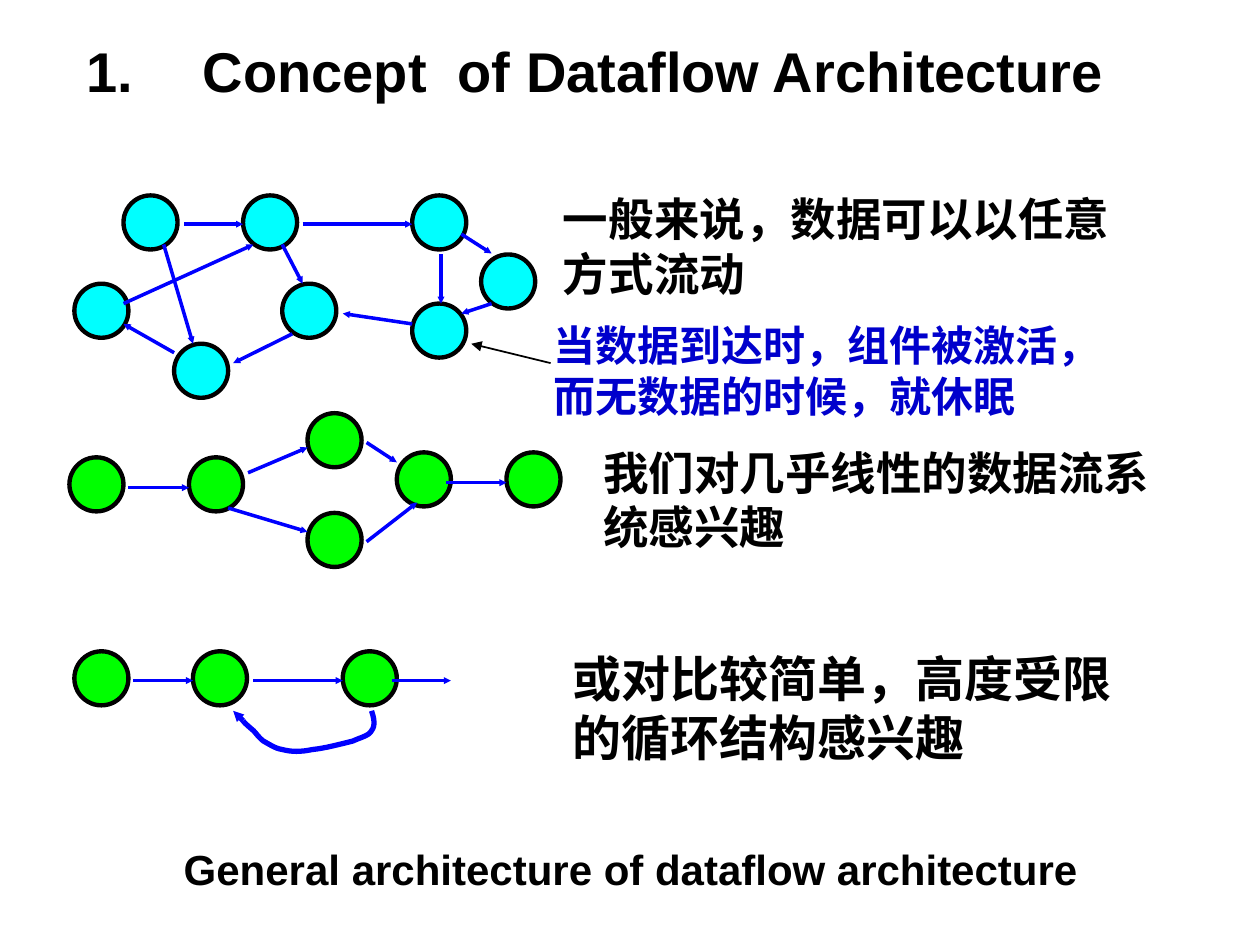
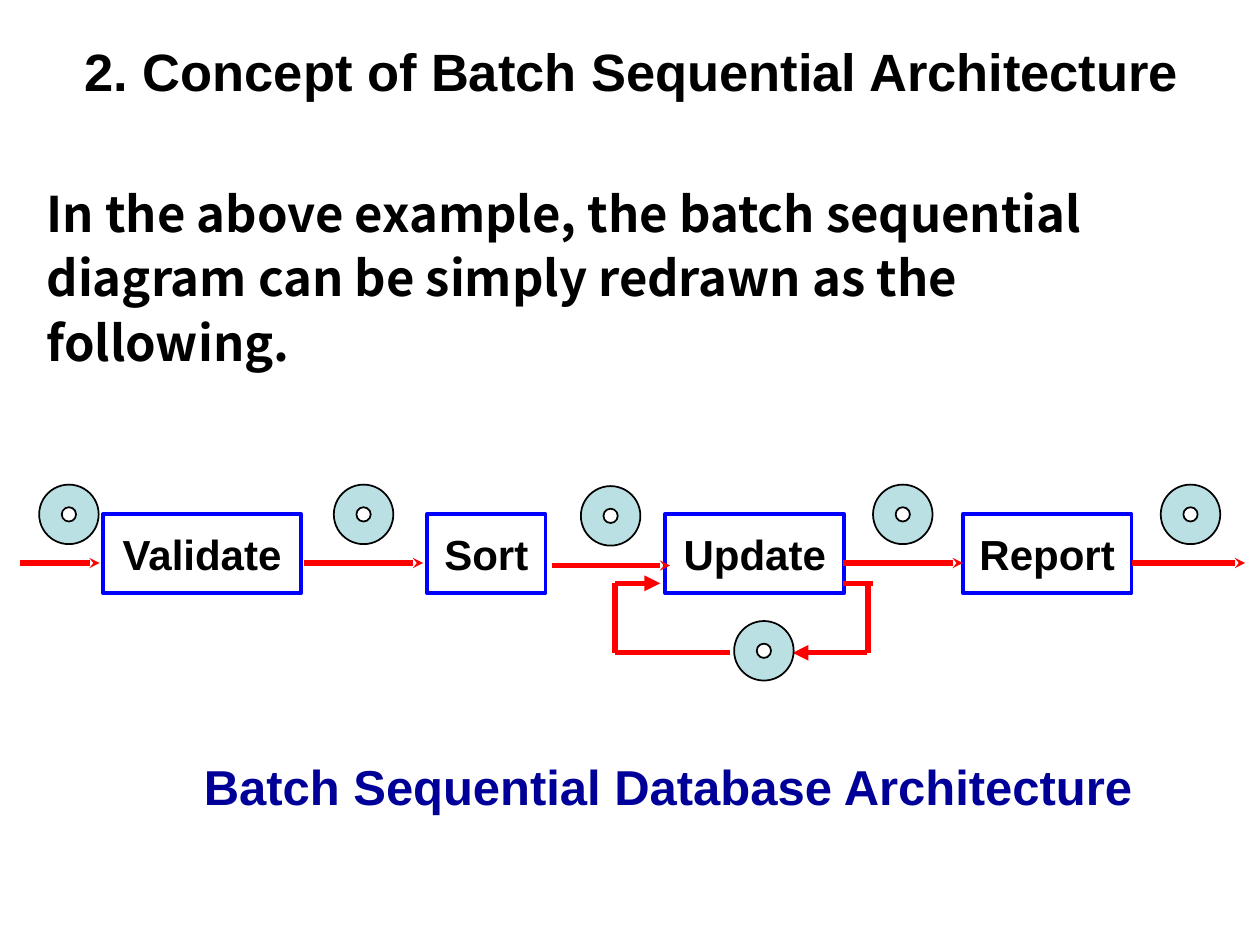
from lxml.etree import SubElement
from pptx import Presentation
from pptx.dml.color import RGBColor
from pptx.enum.shapes import MSO_CONNECTOR, MSO_SHAPE
from pptx.enum.text import MSO_ANCHOR, PP_ALIGN
from pptx.oxml.ns import qn
from pptx.util import Cm, Pt

STRAIGHT = MSO_CONNECTOR.STRAIGHT
OVAL, RECTANGLE, DONUT = MSO_SHAPE.OVAL, MSO_SHAPE.RECTANGLE, MSO_SHAPE.DONUT
LEFT, CENTER = PP_ALIGN.LEFT, PP_ALIGN.CENTER
TOP, MIDDLE = MSO_ANCHOR.TOP, MSO_ANCHOR.MIDDLE

COLORS = {
    "black": "000000",
    "white": "FFFFFF",
    "cyan": "00FFFF",
    "green": "00FF00",
    "blue": "0000FF",
    "note": "0000CC",
    "caption": "000099",
    "red": "FF0000",
    "disc": "BBE0E3",
}
LATIN = "Arial"
CHINESE = "Noto Sans CJK SC"
NODE_SIZE = 1.09
DISC_SIZE = 1.2
CURVE_STEPS = 8

NETWORK_NODES = [(2.49, 3.94), (1.5, 5.72), (4.9, 3.94), (5.69, 5.72),
                 (8.31, 3.94), (9.7, 5.13), (8.31, 6.12), (3.51, 6.93)]
NETWORK_FLOWS = [
    (3.71, 4.52, 4.9, 4.52), (6.1, 4.52, 8.31, 4.52), (9.3, 4.72, 9.91, 5.11),
    (9.91, 6.12, 9.3, 6.32), (8.31, 6.53, 6.91, 6.32), (5.89, 6.73, 4.7, 7.32),
    (3.51, 7.11, 2.49, 6.53), (2.49, 6.12, 5.11, 4.93), (3.3, 4.93, 3.89, 6.93),
    (5.69, 4.93, 6.1, 5.72), (8.89, 5.13, 8.89, 6.12),
]
LINEAR_NODES = [(1.4, 9.22), (3.81, 9.22), (6.2, 10.34), (6.2, 8.33),
                (8, 9.12), (10.21, 9.12)]
LINEAR_FLOWS = [
    (2.59, 9.83, 3.81, 9.83), (5, 9.53, 6.2, 9.02), (7.39, 8.92, 8, 9.32),
    (4.6, 10.24, 6.2, 10.72), (7.39, 10.92, 8.41, 10.13), (8.99, 9.73, 10.21, 9.73),
]
LOOP_NODES = [(left, 13.13) for left in (1.5, 3.89, 6.91)]
LOOP_FLOWS = [(start, 13.72, end, 13.72)
              for start, end in ((2.69, 3.89), (5.11, 6.91), (7.9, 9.09))]
LOOP_START = (7.49, 14.33)
LOOP_CURVES = [
    ((7.54, 14.48), (7.57, 14.63), (7.49, 14.73)),
    ((7.44, 14.83), (7.29, 14.86), (7.11, 14.94)),
    ((6.91, 14.99), (6.53, 15.09), (6.3, 15.11)),
    ((6.07, 15.16), (5.87, 15.16), (5.69, 15.11)),
    ((5.54, 15.09), (5.41, 14.99), (5.31, 14.94)),
    ((5.21, 14.86), (5.16, 14.78), (5.11, 14.73)),
    ((5.03, 14.66), (4.93, 14.58), (4.9, 14.53)),
]

STAGES = [("Validate", 2.08, 3.99), ("Sort", 8.61, 2.39),
          ("Update", 13.41, 3.61), ("Report", 19.41, 3.4)]
STAGE_FLOWS = [(0.4, 11.35, 2.01, 11.35), (6.12, 11.35, 8.53, 11.35),
               (11.13, 11.4, 13.51, 11.4), (17, 11.35, 19.41, 11.35),
               (22.81, 11.35, 25.1, 11.35)]
DISCS = [(0.79, 9.77), (6.73, 9.77), (11.71, 9.8), (17.6, 9.77), (23.4, 9.77),
         (14.8, 12.52)]
UPDATE_LOOP = [
    (17, 11.76, 17.6, 11.76, None), (17.5, 11.76, 17.5, 13.16, None),
    (17.48, 13.16, 15.98, 13.16, "triangle"), (14.71, 13.16, 12.4, 13.16, None),
    (12.4, 13.16, 12.4, 11.76, None), (12.4, 11.76, 13.31, 11.76, "triangle"),
]


def color(name):
    return RGBColor.from_string(COLORS[name])


def style_line(line, name, width):
    line.color.rgb = color(name)
    line.width = Pt(width)


def write(frame, text, size, font=LATIN, ink="black", align=LEFT, spacing=None,
          indent=0, numbered=False):
    paragraph = frame.paragraphs[0]
    paragraph.text = text
    paragraph.alignment = align
    if spacing:
        paragraph.line_spacing = spacing
    properties = paragraph._p.get_or_add_pPr()
    if indent:
        properties.set("marL", str(Cm(indent)))
    if numbered:
        properties.set("indent", str(-Cm(indent)))
        SubElement(properties, qn("a:buFont"), typeface=font)
        SubElement(properties, qn("a:buAutoNum"), type="arabicPeriod")
    paragraph.font.size = Pt(size)
    paragraph.font.bold = True
    paragraph.font.name = font
    paragraph.font.color.rgb = color(ink)
    SubElement(properties.find(qn("a:defRPr")), qn("a:ea"), typeface=font)


def add_text(page, at, text, size, anchor=TOP, **style):
    box = page.shapes.add_textbox(*map(Cm, at))
    box.text_frame.word_wrap = True
    box.text_frame.vertical_anchor = anchor
    write(box.text_frame, text, size, **style)


def add_figure(shapes, kind, at, fill, outline, width):
    figure = shapes.add_shape(kind, *map(Cm, at))
    figure.shadow.inherit = False
    figure.fill.solid()
    figure.fill.fore_color.rgb = color(fill)
    style_line(figure.line, outline, width)
    return figure


def add_arrow(shapes, ends, ink, width, head="triangle", head_size="sm"):
    arrow = shapes.add_connector(STRAIGHT, *map(Cm, ends))
    style_line(arrow.line, ink, width)
    if head:
        SubElement(arrow.line._get_or_add_ln(), qn("a:tailEnd"),
                   type=head, w=head_size, len=head_size)
    SubElement(arrow._element.spPr, qn("a:effectLst"))


def add_graph(shapes, nodes, flows, fill):
    for left, top in nodes:
        add_figure(shapes, OVAL, (left, top, NODE_SIZE, NODE_SIZE), fill, "black", 2.5)
    for ends in flows:
        add_arrow(shapes, ends, "blue", 2)


def curve_points(start, curves):
    for first, second, end in curves:
        for step in range(1, CURVE_STEPS + 1):
            t = step / CURVE_STEPS
            weights = ((1 - t) ** 3, 3 * t * (1 - t) ** 2, 3 * t * t * (1 - t), t ** 3)
            yield tuple(Cm(sum(w * value for w, value in zip(weights, axis)))
                        for axis in zip(start, first, second, end))
        start = end


def add_curve(page, start, curves):
    builder = page.shapes.build_freeform(*map(Cm, start))
    builder.add_line_segments(curve_points(start, curves), close=False)
    curve = builder.convert_to_shape()
    curve.shadow.inherit = False
    curve.fill.background()
    style_line(curve.line, "blue", 3)


def add_stage(page, name, left, width):
    stage = add_figure(page.shapes, RECTANGLE, (left, 10.36, width, 1.6),
                       "white", "blue", 2)
    stage.text_frame.word_wrap = False
    stage.text_frame.vertical_anchor = MIDDLE
    write(stage.text_frame, name, 24, align=CENTER)


def add_disc(page, left, top):
    disc = add_figure(page.shapes, DONUT, (left, top, DISC_SIZE, DISC_SIZE),
                      "disc", "black", 1)
    disc.adjustments[0] = 0.38


def build_dataflow(page):
    add_graph(page.shapes.add_group_shape().shapes, NETWORK_NODES, NETWORK_FLOWS, "cyan")
    add_graph(page.shapes.add_group_shape().shapes, LINEAR_NODES, LINEAR_FLOWS, "green")
    add_graph(page.shapes, LOOP_NODES, LOOP_FLOWS, "green")
    add_curve(page, LOOP_START, LOOP_CURVES)
    add_arrow(page.shapes, (4.9, 14.53, 4.7, 14.33), "blue", 3)
    add_text(page, (11.1, 3.73, 11.61, 2.46), "一般来说，数据可以以任意方式流动",
             26, font=CHINESE)
    add_text(page, (11.91, 8.84, 11.61, 2.46), "我们对几乎线性的数据流系统感兴趣",
             26, font=CHINESE)
    add_text(page, (11.3, 12.95, 11.61, 2.64), "或对比较简单，高度受限的循环结构感兴趣",
             28, font=CHINESE)
    add_text(page, (10.9, 6.32, 11.99, 2.29),
             "当数据到达时，组件被激活，而无数据的时候，就休眠",
             24, font=CHINESE, ink="note")
    add_arrow(page.shapes, (11.1, 7.32, 9.5, 6.93), "black", 1, head_size="med")
    add_text(page, (2.11, 16.87, 21.21, 1.27),
             "General architecture of dataflow architecture", 24, align=CENTER)
    add_text(page, (1.5, 0.71, 22.61, 1.4), "Concept  of Dataflow Architecture", 32,
             anchor=MIDDLE, indent=2.34, numbered=True)


def build_batch(page):
    add_text(page, (0.89, 15.11, 23.8, 1.45), "Batch Sequential Database Architecture",
             28, anchor=MIDDLE, ink="caption", indent=2.97)
    add_text(page, (0.69, 3.45, 23.8, 4.17),
             "In the above example, the batch sequential diagram can be simply "
             "redrawn as the following.", 28, font=CHINESE, spacing=1.1)
    for stage in STAGES:
        add_stage(page, *stage)
    for ends in STAGE_FLOWS:
        add_arrow(page.shapes, ends, "red", 3, head="stealth")
    for *ends, head in UPDATE_LOOP:
        add_arrow(page.shapes, ends, "red", 3, head=head, head_size="med")
    for place in DISCS:
        add_disc(page, *place)
    add_text(page, (0.99, 0.86, 23.5, 1.35),
             "2. Concept of Batch Sequential Architecture", 30,
             align=CENTER, spacing=0.85)


def main():
    deck = Presentation()
    deck.slide_width, deck.slide_height = Cm(25.4), Cm(19.05)
    for build in (build_dataflow, build_batch):
        build(deck.slides.add_slide(deck.slide_layouts[6]))
    deck.save("out.pptx")


if __name__ == "__main__":
    main()
